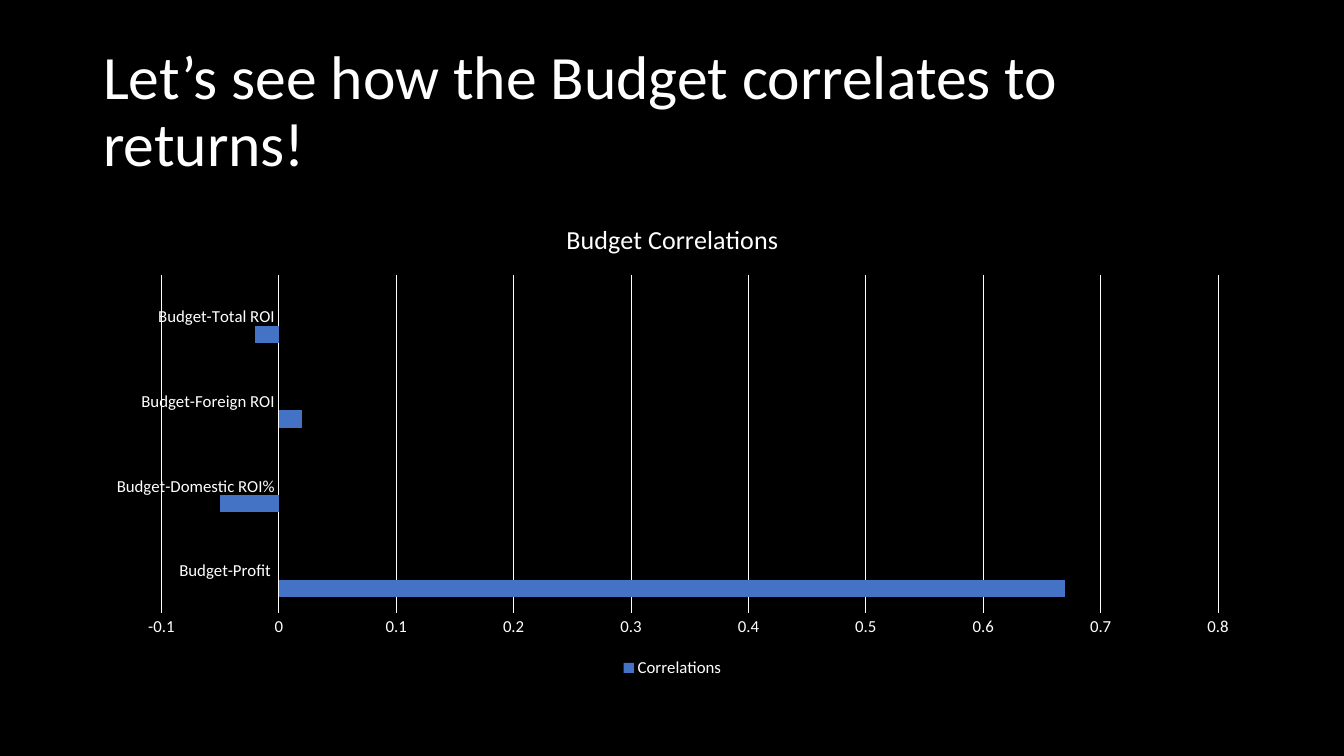
from lxml import etree
from pptx import Presentation
from pptx.chart.data import CategoryChartData
from pptx.dml.color import RGBColor
from pptx.enum.chart import XL_CHART_TYPE, XL_LEGEND_POSITION, XL_TICK_MARK
from pptx.enum.text import MSO_ANCHOR, MSO_AUTO_SIZE, PP_ALIGN
from pptx.oxml.ns import qn
from pptx.util import Emu, Pt

PX = 914400 / 100.8
COLORS = {"background": "000000", "text": "FFFFFF", "line": "FFFFFF",
          "Correlations": "4472C4", "Series 2": "ED7D31", "Column1": "A5A5A5"}
CORRELATIONS = {"Budget-Profit ": 0.67, "Budget-Domestic ROI%": -0.05,
                "Budget-Foreign ROI": 0.02, "Budget-Total ROI": -0.02}
SERIES = {"Correlations": list(CORRELATIONS.values()),
          "Series 2": [None] * len(CORRELATIONS),
          "Column1": [None] * len(CORRELATIONS)}


def px(n):
    return Emu(round(n * PX))


def rgb(name):
    return RGBColor.from_string(COLORS[name])


def set_attrs(obj, values):
    for name, value in values.items():
        setattr(obj, name, value)


def set_font(font, size):
    set_attrs(font, {"name": "Calibri", "size": Pt(size), "bold": False})
    font.color.rgb = rgb("text")


def set_line(line):
    line.width = Pt(0.75)
    line.color.rgb = rgb("line")


def write_title(sp, text):
    set_attrs(sp, {"left": px(93), "top": px(40), "width": px(1159), "height": px(146)})
    tf = sp.text_frame
    set_attrs(tf, {"word_wrap": True, "auto_size": MSO_AUTO_SIZE.NONE,
                   "vertical_anchor": MSO_ANCHOR.MIDDLE})
    p = tf.paragraphs[0]
    set_attrs(p, {"alignment": PP_ALIGN.LEFT, "line_spacing": 0.9})
    r = p.add_run()
    r.text = text
    set_font(r.font, 44)


def format_axis(axis):
    set_attrs(axis, {"major_tick_mark": XL_TICK_MARK.NONE,
                     "minor_tick_mark": XL_TICK_MARK.NONE})
    set_font(axis.tick_labels.font, 12)


def format_axes(chart):
    cat, val = chart.category_axis, chart.value_axis
    format_axis(cat)
    format_axis(val)
    set_line(cat.format.line)
    set_attrs(val, {"minimum_scale": -0.1, "maximum_scale": 0.8,
                    "major_unit": 0.1, "has_major_gridlines": True})
    set_attrs(val.tick_labels, {"number_format": "General",
                                "number_format_is_linked": False})
    val.format.line.fill.background()
    set_line(val.major_gridlines.format.line)


def format_legend(chart, hidden):
    chart.has_legend = True
    legend = chart.legend
    set_attrs(legend, {"position": XL_LEGEND_POSITION.BOTTOM, "include_in_layout": False})
    set_font(legend.font, 12)
    position = legend._element.find(qn("c:legendPos"))
    for index in reversed(hidden):
        entry = etree.Element(qn("c:legendEntry"))
        etree.SubElement(entry, qn("c:idx")).set("val", str(index))
        etree.SubElement(entry, qn("c:delete")).set("val", "1")
        position.addnext(entry)


def add_bar_chart(slide, title):
    data = CategoryChartData()
    data.categories = list(CORRELATIONS)
    for name, values in SERIES.items():
        data.add_series(name, values)
    chart = slide.shapes.add_chart(XL_CHART_TYPE.BAR_CLUSTERED, px(93), px(202),
                                   px(1159), px(480), data).chart
    set_font(chart.font, 10)
    chart.has_title = True
    p = chart.chart_title.text_frame.paragraphs[0]
    r = p.add_run()
    r.text = title
    set_font(r.font, 18.6)
    plot = chart.plots[0]
    set_attrs(plot, {"gap_width": 182, "overlap": 0, "vary_by_categories": False})
    for series in plot.series:
        series.invert_if_negative = False
        series.format.fill.solid()
        series.format.fill.fore_color.rgb = rgb(series.name)
    format_axes(chart)
    format_legend(chart, [0, 1])


def main():
    prs = Presentation()
    set_attrs(prs, {"slide_width": px(1344), "slide_height": px(756)})
    slide = prs.slides.add_slide(prs.slide_layouts[5])
    fill = slide.background.fill
    fill.solid()
    fill.fore_color.rgb = rgb("background")
    write_title(slide.shapes.title, "Let’s see how the Budget correlates to returns!")
    add_bar_chart(slide, "Budget Correlations")
    prs.save("out.pptx")


if __name__ == "__main__":
    main()
